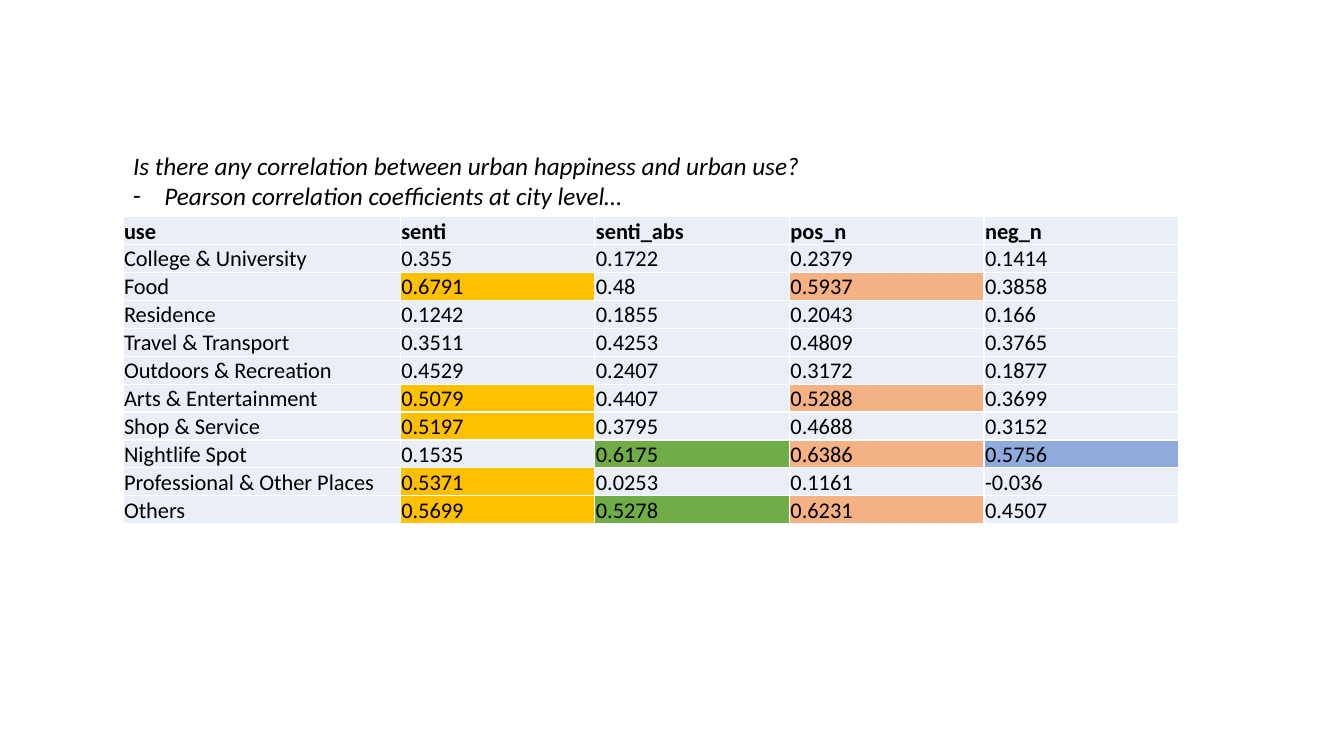
from dataclasses import dataclass

from lxml import etree
from pptx import Presentation, util as u
from pptx.dml.color import RGBColor
from pptx.enum import text
from pptx.oxml import ns

BASE_FILL = "EAEFF7"
THRESHOLD = 0.5


@dataclass
class Measure:
    name: str
    highlight: str


@dataclass
class Use:
    name: str
    values: tuple[str, ...]


@dataclass
class Line:
    words: str
    bullet: str = ""


MEASURES = [
    Measure("senti", "FFC000"),
    Measure("senti_abs", "70AD47"),
    Measure("pos_n", "F4B183"),
    Measure("neg_n", "8FAADC"),
]
USES = [
    Use("College & University", ("0.355", "0.1722", "0.2379", "0.1414")),
    Use("Food", ("0.6791", "0.48", "0.5937", "0.3858")),
    Use("Residence", ("0.1242", "0.1855", "0.2043", "0.166")),
    Use("Travel & Transport", ("0.3511", "0.4253", "0.4809", "0.3765")),
    Use("Outdoors & Recreation", ("0.4529", "0.2407", "0.3172", "0.1877")),
    Use("Arts & Entertainment", ("0.5079", "0.4407", "0.5288", "0.3699")),
    Use("Shop & Service", ("0.5197", "0.3795", "0.4688", "0.3152")),
    Use("Nightlife Spot", ("0.1535", "0.6175", "0.6386", "0.5756")),
    Use("Professional & Other Places", ("0.5371", "0.0253", "0.1161", "-0.036")),
    Use("Others", ("0.5699", "0.5278", "0.6231", "0.4507")),
]
LINES = [
    Line("Is there any correlation between urban happiness and urban use?"),
    Line("Pearson correlation coefficients at city level…", "-"),
]


def rgb(value: str) -> RGBColor:
    return RGBColor.from_string(value)


def set_all(target, values: dict) -> None:
    for name, value in values.items():
        setattr(target, name, value)


def format_font(font, **values) -> None:
    set_all(font, {"name": "Calibri", **values})
    font.color.rgb = rgb("000000")


def add_borders(cell, color: str, width: u.Length) -> None:
    tc_pr = cell._tc.get_or_add_tcPr()
    for side in ("a:lnL", "a:lnR", "a:lnT", "a:lnB"):
        ln = etree.SubElement(tc_pr, ns.qn(side), w=str(int(width)))
        fill = etree.SubElement(ln, ns.qn("a:solidFill"))
        etree.SubElement(fill, ns.qn("a:srgbClr"), val=color)


def fill_cell(cell, words: str, color: str, bold: bool) -> None:
    margin = u.Inches(0.01)
    set_all(cell, {
        "margin_left": margin,
        "margin_right": margin,
        "margin_top": margin,
        "margin_bottom": 0,
        "vertical_anchor": text.MSO_ANCHOR.MIDDLE,
    })
    add_borders(cell, "FFFFFF", u.Pt(1))
    cell.fill.solid()
    cell.fill.fore_color.rgb = rgb(color)
    r = cell.text_frame.paragraphs[0].add_run()
    r.text = words
    format_font(r.font, size=u.Pt(16), bold=bold)


def add_correlations(s) -> None:
    widths = [2.75] + [1.93] * len(MEASURES)
    row_height = 0.21
    rows = len(USES) + 1
    table = s.shapes.add_table(
        rows, len(widths), u.Inches(1.22), u.Inches(2.15),
        u.Inches(sum(widths)), u.Inches(row_height * rows),
    ).table
    set_all(table, {"first_row": False, "horz_banding": False})
    for column, width in zip(table.columns, widths):
        column.width = u.Inches(width)
    for row in table.rows:
        row.height = u.Inches(row_height)
    for i, heading in enumerate(["use"] + [m.name for m in MEASURES]):
        fill_cell(table.cell(0, i), heading, BASE_FILL, True)
    for i, use in enumerate(USES, 1):
        fill_cell(table.cell(i, 0), use.name, BASE_FILL, False)
        for j, (measure, value) in enumerate(zip(MEASURES, use.values), 1):
            color = measure.highlight if float(value) > THRESHOLD else BASE_FILL
            fill_cell(table.cell(i, j), value, color, False)


def add_line(p, line: Line) -> None:
    p_pr = p._p.get_or_add_pPr()
    indent = int(u.Inches(0.31)) if line.bullet else 0
    p_pr.set("marL", str(indent))
    p_pr.set("indent", str(-indent))
    if line.bullet:
        etree.SubElement(p_pr, ns.qn("a:buFont"), typeface="Calibri")
        etree.SubElement(p_pr, ns.qn("a:buChar"), char=line.bullet)
    else:
        etree.SubElement(p_pr, ns.qn("a:buNone"))
    set_all(p, {"space_before": u.Pt(0), "alignment": text.PP_ALIGN.LEFT})
    r = p.add_run()
    r.text = line.words
    format_font(r.font, size=u.Pt(18), italic=True)


def add_question(sp) -> None:
    set_all(sp, {
        "left": u.Inches(1.22),
        "top": u.Inches(1.44),
        "width": u.Inches(6.88),
        "height": u.Inches(0.71),
    })
    tf = sp.text_frame
    set_all(tf, {
        "word_wrap": False,
        "auto_size": text.MSO_AUTO_SIZE.SHAPE_TO_FIT_TEXT,
        "vertical_anchor": text.MSO_ANCHOR.TOP,
    })
    for i, line in enumerate(LINES):
        add_line(tf.add_paragraph() if i else tf.paragraphs[0], line)


def main() -> None:
    prs = Presentation()
    set_all(prs, {"slide_width": u.Inches(13.33), "slide_height": u.Inches(7.5)})
    s = prs.slides.add_slide(prs.slide_layouts[1])
    title = s.shapes.title
    title.element.getparent().remove(title.element)
    add_correlations(s)
    add_question(s.placeholders[1])
    prs.save("out.pptx")


if __name__ == "__main__":
    main()
